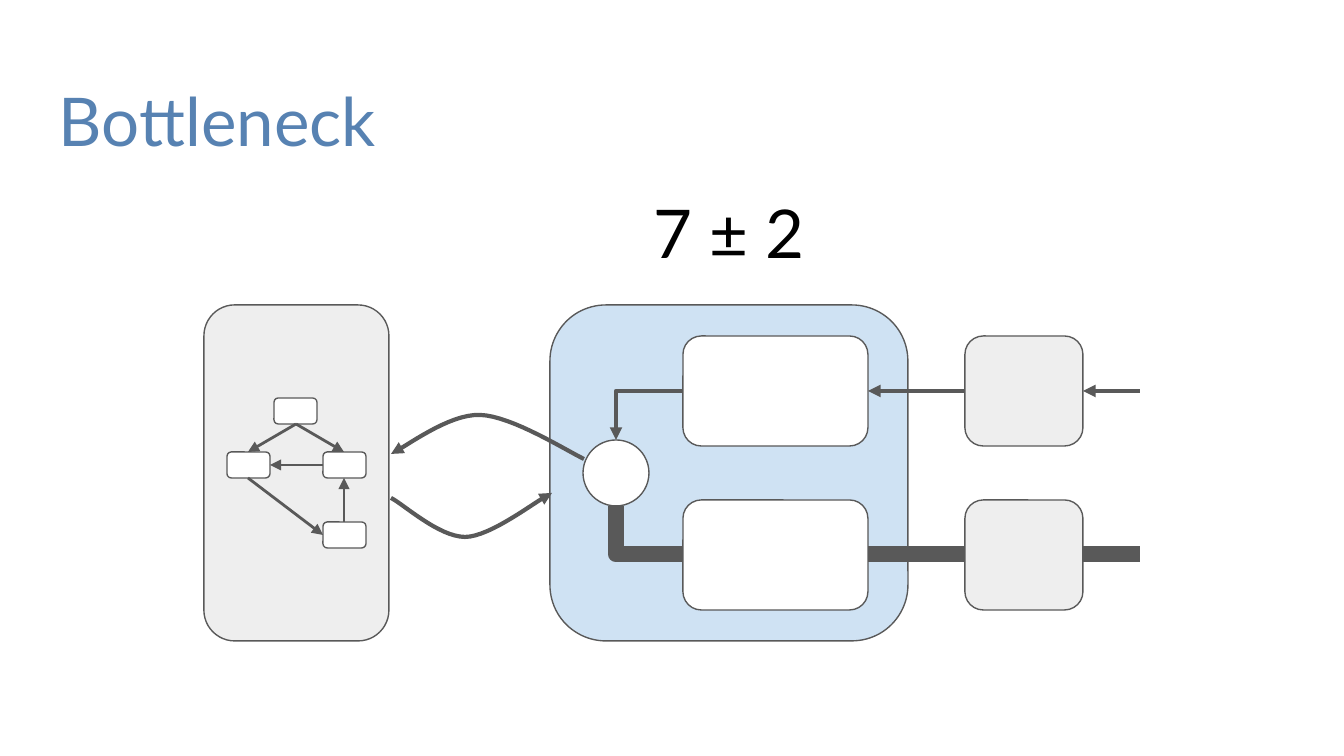
"""Build the Bottleneck slide: a memory model with narrow and wide input channels."""
from lxml import etree
from pptx import Presentation
from pptx.dml.color import RGBColor
from pptx.enum.shapes import MSO_CONNECTOR, MSO_SHAPE
from pptx.enum.text import MSO_ANCHOR, PP_ALIGN
from pptx.oxml.ns import qn
from pptx.util import Emu, Pt

ROUNDED, ELLIPSE = MSO_SHAPE.ROUNDED_RECTANGLE, MSO_SHAPE.OVAL
STRAIGHT = MSO_CONNECTOR.STRAIGHT
TOP, MIDDLE = MSO_ANCHOR.TOP, MSO_ANCHOR.MIDDLE
LEFT, CENTER = PP_ALIGN.LEFT, PP_ALIGN.CENTER
GREY, LIGHT = RGBColor(0x59, 0x59, 0x59), RGBColor(0xEE, 0xEE, 0xEE)
WHITE, BLACK = RGBColor(0xFF, 0xFF, 0xFF), RGBColor(0, 0, 0)
PALE_BLUE, TITLE_BLUE = RGBColor(0xCF, 0xE2, 0xF3), RGBColor(0x57, 0x82, 0xB2)
SCALE = 914400 / 134.4
CURVE_STEPS = 16


def px(length):
    return Emu(round(length * SCALE))


def style_line(shape, width, arrow):
    shape.line.color.rgb = GREY
    shape.line.width = Pt(width)
    properties = shape._element.spPr
    if arrow:
        etree.SubElement(properties.find(qn("a:ln")), qn("a:tailEnd"), type="triangle")
    if properties.find(qn("a:effectLst")) is None:
        etree.SubElement(properties, qn("a:effectLst"))


deck = Presentation()
deck.slide_width, deck.slide_height = px(1344), px(756)
page = deck.slides.add_slide(deck.slide_layouts[6])

texts = [
    ("Bottleneck", 46, 66, 1252, 103, TOP, LEFT, TITLE_BLUE),
    ("7 ± 2", 573, 188, 312, 87, MIDDLE, CENTER, BLACK),
]
for words, left, top, width, height, anchor, alignment, color in texts:
    box = page.shapes.add_textbox(px(left), px(top), px(width), px(height))
    frame = box.text_frame
    frame.word_wrap = True
    frame.vertical_anchor = anchor
    frame.margin_left = frame.margin_right = px(13)
    frame.margin_top = frame.margin_bottom = px(13)
    frame.text = words
    para = frame.paragraphs[0]
    para.alignment = alignment
    span = para.runs[0]
    span.font.name = "Lato"
    span.font.size = Pt(36)
    span.font.color.rgb = color

nodes = [
    (ROUNDED, 550, 305, 358, 336, PALE_BLUE),
    (ROUNDED, 204, 305, 185, 336, LIGHT),
    (ELLIPSE, 583, 440, 66, 66, WHITE),
]
for top in (336, 500):
    nodes.append((ROUNDED, 683, top, 185, 110, WHITE))
    nodes.append((ROUNDED, 965, top, 118, 110, LIGHT))
for left, top in [(274, 398), (227, 452), (323, 452), (323, 522)]:
    nodes.append((ROUNDED, left, top, 43, 26, WHITE))
for kind, left, top, width, height, color in nodes:
    node = page.shapes.add_shape(kind, px(left), px(top), px(width), px(height))
    node.shadow.inherit = False
    node.fill.solid()
    node.fill.fore_color.rgb = color
    node.line.color.rgb = GREY
    node.line.width = Pt(0.75)

links = [
    (296, 424, 248, 452, 1.5, True),
    (296, 424, 344, 452, 1.5, True),
    (323, 465, 270, 465, 1.5, True),
    (248, 478, 323, 535, 1.5, True),
    (344, 522, 344, 478, 1.5, True),
]
for start, end in [(965, 868), (1140, 1083)]:
    links.append((start, 391, end, 391, 2.25, True))
    links.append((start, 554, end, 554, 9, False))
for x1, y1, x2, y2, width, arrow in links:
    link = page.shapes.add_connector(STRAIGHT, px(x1), px(y1), px(x2), px(y2))
    style_line(link, width, arrow)

routes = [
    ([(683, 391), (616, 391), (616, 440)], 2.25, True),
    ([(683, 554), (616, 554), (616, 506)], 9, False),
]
curves = [
    [(584, 459), (567, 451), (512, 416), (480, 415), (448, 414), (406, 447), (391, 454)],
    [(391, 498), (403, 504), (439, 537), (465, 537), (491, 537), (537, 500), (552, 493)],
]
for knots in curves:
    points = [knots[0]]
    for first in (0, 3):
        controls = knots[first:first + 4]
        for step in range(1, CURVE_STEPS + 1):
            t = step / CURVE_STEPS
            weights = [(1 - t) ** 3, 3 * t * (1 - t) ** 2, 3 * t * t * (1 - t), t ** 3]
            points.append(tuple(
                sum(weight * value for weight, value in zip(weights, axis))
                for axis in zip(*controls)
            ))
    routes.append((points, 2.25, True))
for points, width, arrow in routes:
    corners = [(px(x), px(y)) for x, y in points]
    builder = page.shapes.build_freeform(*corners[0])
    builder.add_line_segments(corners[1:], close=False)
    route = builder.convert_to_shape()
    route.fill.background()
    style_line(route, width, arrow)

deck.save("out.pptx")
